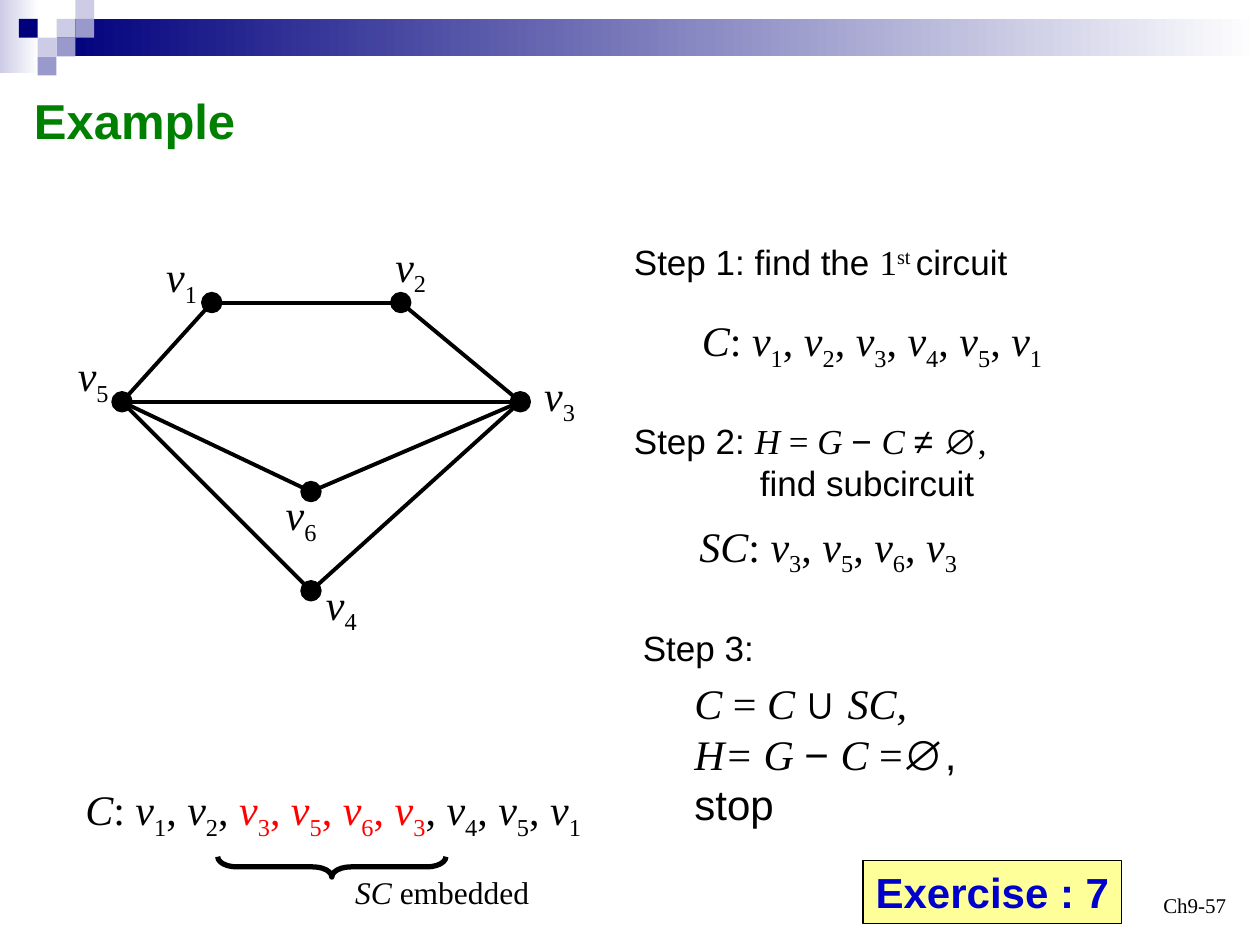
from dataclasses import dataclass

from lxml import etree
from pptx import Presentation
from pptx import util as u
from pptx.dml.color import RGBColor
from pptx.enum import shapes, text
from pptx.oxml.ns import qn


@dataclass(frozen=True)
class Theme:
    sans: str = "Arial"
    serif: str = "Times New Roman"
    black: str = "000000"
    white: str = "FFFFFF"
    navy: str = "00007D"
    lilac: str = "CCCCE6"
    violet: str = "9999CC"
    green: str = "008000"
    red: str = "FF0000"
    blue: str = "0000CC"
    yellow: str = "FFFF99"
    title: int = 28
    math: int = 24
    step: int = 20
    note: int = 18
    page: int = 12


T = Theme()
SHAPE = shapes.MSO_SHAPE


def rgb(color):
    return RGBColor.from_string(color)


def add_run(p, words, size, font=T.serif, italic=False, bold=False,
            color=T.black, baseline=0):
    r = p.add_run()
    r.text = words
    f = r.font
    f.size, f.name, f.italic, f.bold = u.Pt(size), font, italic, bold
    f.color.rgb = rgb(color)
    if baseline:
        r._r.get_or_add_rPr().set("baseline", str(baseline * 1000))


def add_vertex(p, index, color=T.black):
    add_run(p, "v", T.math, italic=True, color=color)
    add_run(p, index, T.math, color=color, baseline=-25)


def add_circuit(p, name, indices, embedded=range(0)):
    """Write a circuit as a list of vertices, with the embedded part in red."""
    add_run(p, name, T.math, italic=True)
    add_run(p, ": ", T.math)
    for i, index in enumerate(indices):
        inside = i in embedded
        if i:
            both = inside and i - 1 in embedded
            add_run(p, ", ", T.math, color=T.red if both else T.black)
        add_vertex(p, index, T.red if inside else T.black)


def add_math(p, size, *parts):
    """Write serif parts; a part starting with * is italic, with # is sans."""
    for part in parts:
        mark = part[0] if part[0] in "*#" else ""
        add_run(p, part[len(mark):], size, T.sans if mark == "#" else T.serif,
                italic=mark == "*")


def add_text(s, x, y, w, h):
    tf = s.shapes.add_textbox(u.Cm(x), u.Cm(y), u.Cm(w), u.Cm(h)).text_frame
    tf.word_wrap = True
    return tf


def add_box(s, kind, x, y, w, h, fill=None, line=None, width=1):
    sp = s.shapes.add_shape(kind, u.Cm(x), u.Cm(y), u.Cm(w), u.Cm(h))
    sp.shadow.inherit = False
    if isinstance(fill, tuple):
        sp.fill.gradient()
        sp.fill.gradient_angle = 0
        for stop, color in zip(sp.fill.gradient_stops, fill):
            stop.color.rgb = rgb(color)
    elif fill:
        sp.fill.solid()
        sp.fill.fore_color.rgb = rgb(fill)
    else:
        sp.fill.background()
    if line:
        sp.line.color.rgb = rgb(line)
        sp.line.width = u.Pt(width)
    else:
        sp.line.fill.background()
    return sp


def add_edge(s, start, end):
    ln = s.shapes.add_connector(shapes.MSO_CONNECTOR.STRAIGHT,
                                *(u.Cm(v) for v in (*start, *end)))
    ln.line.color.rgb = rgb(T.black)
    ln.line.width = u.Pt(2.25)
    etree.SubElement(ln._element.spPr, qn("a:effectLst"))


def banner(s, x, y, w):
    unit = 0.38
    add_box(s, SHAPE.RECTANGLE, x, y, 0.79, 1.47, (T.lilac, T.white))
    add_box(s, SHAPE.RECTANGLE, x + 3 * unit, y + unit, w - 3 * unit, 2 * unit,
            (T.navy, T.white))
    # Column, row and colour of each small square
    squares = ((3, 1, T.lilac), (4, 0, T.lilac), (4, 1, T.violet),
               (2, 2, T.lilac), (1, 1, T.navy), (3, 2, T.violet),
               (2, 3, T.violet))
    for col, row, color in squares:
        add_box(s, SHAPE.RECTANGLE, x + col * unit, y + row * unit,
                unit, unit, color)


def heading(s, x, y, w, h):
    sp = s.shapes.title
    sp.left, sp.top, sp.width, sp.height = (u.Cm(v) for v in (x, y, w, h))
    tf = sp.text_frame
    tf.vertical_anchor = text.MSO_ANCHOR.TOP
    p = tf.paragraphs[0]
    p.alignment = text.PP_ALIGN.LEFT
    add_run(p, "Example", T.title, T.sans, bold=True, color=T.green)


def graph(s, x, y):
    # Centre of each vertex, and the corner of its label from that centre
    vertices = {"1": ((2.97, 1.4), (-1.17, -1.17)),
                "2": ((6.78, 1.4), (-0.36, -1.38)),
                "3": ((9.19, 3.4), (0.23, -0.78)),
                "4": ((4.97, 7.21), (0.05, -0.38)),
                "5": ((1.16, 3.4), (-1.14, -1.17)),
                "6": ((4.97, 5.21), (-0.76, -0.18))}
    size = 0.36
    centres = {}
    for index, ((cx, cy), (dx, dy)) in vertices.items():
        cx, cy = x + cx, y + cy
        centres[index] = cx, cy
        add_box(s, SHAPE.OVAL, cx - size / 2, cy - size / 2, size, size,
                T.black, T.black, 2)
        tf = add_text(s, cx + dx, cy + dy, 1.2, 1.42)
        add_vertex(tf.paragraphs[0], index)
    for a, b in ("12", "23", "34", "45", "15", "53", "56", "63"):
        add_edge(s, centres[a], centres[b])


def steps(s, x, y):
    # Step 1
    p = add_text(s, x, y, 8.5, 1.12).paragraphs[0]
    add_math(p, T.step, "#Step 1: find the ", "1")
    add_run(p, "st ", T.step, baseline=30)
    add_math(p, T.step, "#circuit")
    p = add_text(s, x + 1.37, y + 1.5, 7.6, 1.42).paragraphs[0]
    add_circuit(p, "C", "123451")

    # Step 2
    tf = add_text(s, x, y + 3.61, 8, 2.08)
    add_math(tf.paragraphs[0], T.step, "#Step 2: ", "*H ", "= ", "*G ", "#− ",
             "*C ", "#≠ ∅", ",")
    p = tf.add_paragraph()
    p._p.get_or_add_pPr().set("marL", str(u.Cm(2.54)))
    add_math(p, T.step, "#find subcircuit")
    p = add_text(s, x + 1.32, y + 5.64, 6, 1.42).paragraphs[0]
    add_circuit(p, "SC", "3563")

    # Step 3
    p = add_text(s, x + 0.18, y + 7.78, 3.2, 1.12).paragraphs[0]
    add_math(p, T.step, "#Step 3:")
    tf = add_text(s, x + 1.22, y + 8.82, 7.42, 3.3)
    add_math(tf.paragraphs[0], T.math, "*C ", "= ", "*C ", "#∪ ", "*SC,")
    add_math(tf.add_paragraph(), T.math, "*H= G ", "#− ", "*C", " =", "#∅,")
    add_math(tf.add_paragraph(), T.math, "#stop")


def result(s, x, y):
    p = add_text(s, x, y, 10.8, 1.42).paragraphs[0]
    add_circuit(p, "C", "123563451", embedded=range(2, 6))
    # Brace under the embedded part, turned to point down
    span, depth = 4.6, 0.41
    left, top = x + 2.92, y + 1.6
    brace = add_box(s, SHAPE.LEFT_BRACE, left + (span - depth) / 2,
                    top - (span - depth) / 2, depth, span, None, T.black, 3)
    brace.rotation = 270
    brace.adjustments[0] = 0.94
    p = add_text(s, x + 5.44, y + 1.8, 4.3, 1.12).paragraphs[0]
    add_math(p, T.note, "*SC ", "embedded")


def footer(s, x, y, h):
    p = add_text(s, x + 1.65, y, 5.92, h)
    p.vertical_anchor = text.MSO_ANCHOR.BOTTOM
    p.paragraphs[0].alignment = text.PP_ALIGN.RIGHT
    add_run(p.paragraphs[0], "Ch9-57", T.page)
    sp = add_box(s, SHAPE.RECTANGLE, x, y, 5.21, h, T.yellow, T.black, 0.75)
    tf = sp.text_frame
    tf.word_wrap = False
    tf.paragraphs[0].alignment = text.PP_ALIGN.CENTER
    add_run(tf.paragraphs[0], "Exercise : 7", T.math, T.sans, bold=True,
            color=T.blue)


def main():
    prs = Presentation()
    prs.slide_width, prs.slide_height = u.Cm(25.4), u.Cm(19.05)
    s = prs.slides.add_slide(prs.slide_layouts[5])
    banner(s, 0, 0, 25.4)
    heading(s, 0.43, 1.7, 24.3, 1.45)
    graph(s, 1.3, 4.7)
    steps(s, 12.53, 4.72)
    result(s, 1.47, 15.67)
    footer(s, 17.4, 17.35, 1.27)
    prs.save("out.pptx")


if __name__ == "__main__":
    main()
